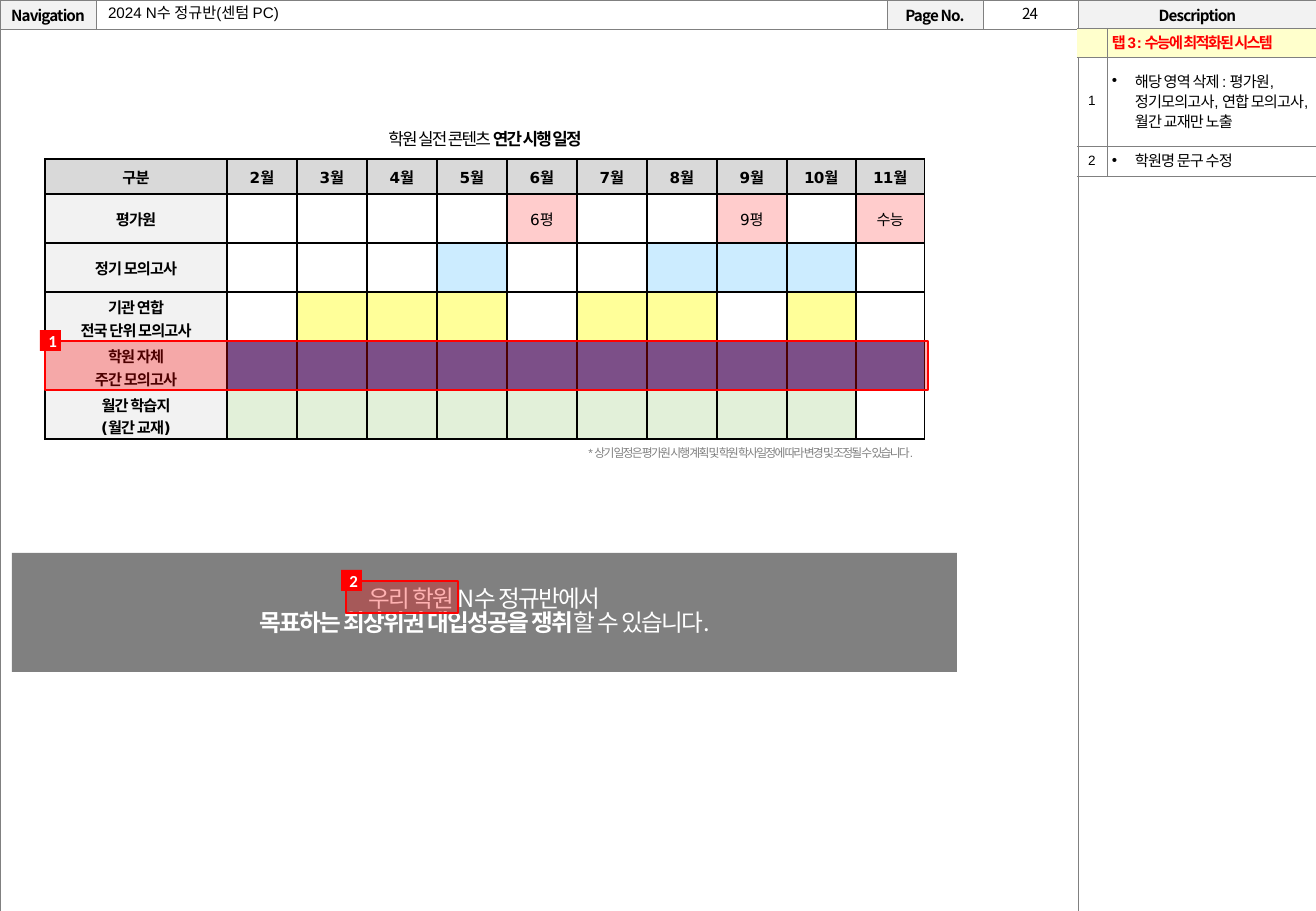
import pptx
import pptx.util
import pptx.dml.color
import pptx.enum.shapes
import pptx.enum.text
import pptx.oxml
import pptx.oxml.ns
from lxml import etree

SCALE = 7526  # EMU in one px
KOREAN = "Noto Sans CJK KR"
GREY, RED, WHITE, BLACK = "808080", "FF0000", "FFFFFF", "000000"
ALIGN = pptx.enum.text.PP_ALIGN
MIDDLE = pptx.enum.text.MSO_ANCHOR.MIDDLE
TOP = pptx.enum.text.MSO_ANCHOR.TOP


def px(length):
    return pptx.util.Emu(length * SCALE)


def colour(code):
    return pptx.dml.color.RGBColor.from_string(code)


def add_element(parent, tag, **attributes):
    return etree.SubElement(parent, pptx.oxml.ns.qn(tag), attributes)


def set_margins(holder, left, top, right, bottom):
    holder.margin_left, holder.margin_top = px(left), px(top)
    holder.margin_right, holder.margin_bottom = px(right), px(bottom)


def write(frame, text, size=9, font=KOREAN, ink=BLACK, bold=False,
          tracking=0, align=ALIGN.CENTER, leading=None, bullet=False):
    """Lines become paragraphs; parts between ** marks switch the bold."""
    for row, line in enumerate(text.split("\n")):
        para = frame.add_paragraph() if row else frame.paragraphs[0]
        para.alignment = align
        if leading:
            para.line_spacing = leading
        if bullet:
            properties = para._p.get_or_add_pPr()
            properties.set("marL", str(px(23)))
            properties.set("indent", str(px(-23)))
            add_element(properties, "a:buFont", typeface="Arial")
            add_element(properties, "a:buChar", char="•")
        if not line:
            add_element(para._p, "a:endParaRPr", sz=str(size * 100))
            continue
        for part, words in enumerate(line.split("**")):
            if not words:
                continue
            span = para.add_run()
            span.text = words
            span.font.size = pptx.util.Pt(size)
            span.font.name = font
            span.font.bold = bold != (part % 2 == 1)
            span.font.color.rgb = colour(ink)
            properties = span._r.get_or_add_rPr()
            properties.set("spc", str(int(tracking * 100)))
            add_element(properties, "a:ea", typeface=KOREAN)


def add_text(page, left, top, width, height, text, **style):
    box = page.shapes.add_textbox(px(left), px(top), px(width), px(height))
    box.text_frame.word_wrap = True
    write(box.text_frame, text, **style)


def add_box(page, left, top, width, height, fill, line=None, alpha=None):
    box = page.shapes.add_shape(pptx.enum.shapes.MSO_SHAPE.RECTANGLE,
                                px(left), px(top), px(width), px(height))
    box.shadow.inherit = False
    box.fill.solid()
    box.fill.fore_color.rgb = colour(fill)
    if alpha:
        tone = box.fill._xPr.find(".//" + pptx.oxml.ns.qn("a:srgbClr"))
        add_element(tone, "a:alpha", val=str(alpha * 1000))
    if line:
        box.line.color.rgb = colour(line)
        box.line.width = pptx.util.Pt(1.5)
    else:
        box.line.fill.background()
    box.text_frame.vertical_anchor = MIDDLE
    return box


def add_callout(page, number, left, top, width, height):
    """A see-through red area with its numbered badge."""
    add_box(page, left, top, width, height, RED, line=RED, alpha=30)
    badge = add_box(page, left - 5, top - 11, 21, 21, RED)
    set_margins(badge.text_frame, 4, 0, 0, 0)
    write(badge.text_frame, number, size=10, font="Calibri", ink=WHITE, bold=True)


def add_grid(page, left, top, widths, heights):
    holder = page.shapes.add_table(len(heights), len(widths), px(left), px(top),
                                   px(sum(widths)), px(sum(heights)))
    grid = holder.table
    grid.first_row = grid.horz_banding = False
    for column, width in zip(grid.columns, widths):
        column.width = px(width)
    for row, height in zip(grid.rows, heights):
        row.height = px(height)
    return grid


def fill_cell(cell, text="", fill=None, margins=(0, 0, 0, 0),
              border=GREY, weight=0.25, sides="LRTB", **style):
    properties = cell._tc.get_or_add_tcPr()
    for side in "LRTB":
        edge = add_element(properties, "a:ln" + side, w=str(pptx.util.Pt(weight)))
        if side in sides:
            add_element(add_element(edge, "a:solidFill"), "a:srgbClr", val=border)
        else:
            add_element(edge, "a:noFill")
    if fill:
        cell.fill.solid()
        cell.fill.fore_color.rgb = colour(fill)
    else:
        cell.fill.background()
    set_margins(cell, *margins)
    cell.vertical_anchor = MIDDLE
    write(cell.text_frame, text, **style)


def add_page_frame(page):
    grid = add_grid(page, 0, 0, [96, 791, 96, 95, 239], [29, 883])
    for column, label in enumerate(["Navigation", "", "Page No.", "", "Description"]):
        fill_cell(grid.cell(0, column), label, fill="F2F2F2" if label else None,
                  bold=True, tracking=-0.5)
        fill_cell(grid.cell(1, column))
    grid.cell(1, 0).merge(grid.cell(1, 3))
    add_text(page, 983, -2, 94, 30, "24", tracking=-0.5)


def add_title(page, text):
    title = page.shapes.title
    title.left, title.top, title.width, title.height = px(96), px(0), px(789), px(28)
    frame = title.text_frame
    frame.auto_size = pptx.enum.text.MSO_AUTO_SIZE.NONE
    frame.vertical_anchor = MIDDLE
    set_margins(frame, 12, 6, 12, 6)
    write(frame, text, font="Arial", align=ALIGN.LEFT, leading=0.9)


def add_schedule(page):
    months = range(2, 12)
    exams = [  # label, colour, marked months with their text
        ("평가원", "FFCCCC", {6: "6평", 9: "9평", 11: "수능"}),
        ("정기 모의고사", "CCECFF", dict.fromkeys([5, 8, 9, 10], "")),
        ("기관 연합\n전국 단위 모의고사", "FFFF99",
         dict.fromkeys([3, 4, 5, 7, 8, 10], "")),
        ("학원 자체\n주간 모의고사", "4472C4", dict.fromkeys(months, "")),
        ("월간 학습지\n(월간 교재)", "E2F0D9", dict.fromkeys(range(2, 11), "")),
    ]
    look = {"border": BLACK, "weight": 1, "font": "DejaVu Sans", "tracking": -0.5}
    grid = add_grid(page, 45, 159, [182] + [70] * 8 + [69] * 2, [35] + [49] * 5)
    for column, label in enumerate(["구분"] + [f"{month}월" for month in months]):
        fill_cell(grid.cell(0, column), label, fill="D9D9D9", bold=True, **look)
    for row, (label, tint, marks) in enumerate(exams, 1):
        margins = (0, 4 if "\n" in label else 0, 0, 0)
        fill_cell(grid.cell(row, 0), label, fill="F2F2F2", margins=margins,
                  bold=True, **look)
        for column, month in enumerate(months, 1):
            fill_cell(grid.cell(row, column), marks.get(month, ""),
                      fill=tint if month in marks else WHITE, **look)


def add_description(page):
    grid = add_grid(page, 1077, 28, [30, 209], [29, 89, 30])
    look = {"margins": (5, 5, 5, 5), "font": "Arial", "leading": 0.9}
    notes = ["해당 영역 삭제 : 평가원, 정기모의고사, 연합 모의고사, 월간 교재만 노출",
             "학원명 문구 수정"]
    fill_cell(grid.cell(0, 0), fill="FFFFCC", sides="RTB", **look)
    fill_cell(grid.cell(0, 1), "탭 3 : 수능에 최적화된 시스템", fill="FFFFCC", sides="LTB",
              ink=RED, bold=True, tracking=-1, align=ALIGN.LEFT, **look)
    for row, note in enumerate(notes, 1):
        fill_cell(grid.cell(row, 0), str(row), sides="RTB", size=8, **look)
        fill_cell(grid.cell(row, 1), note, sides="LTB", tracking=-0.5,
                  align=ALIGN.LEFT, bullet=True, **look)


def main():
    deck = pptx.Presentation()
    deck.slide_width, deck.slide_height = px(1316), px(911)
    page = deck.slides.add_slide(deck.slide_layouts[5])

    # Page frame and title
    add_page_frame(page)
    add_title(page, "2024 N수 정규반(센텀 PC)")

    # Yearly schedule
    add_text(page, 45, 123, 880, 33, "학원 실전 콘텐츠 **연간 시행 일정**",
             size=10, font="Arial", tracking=-1)
    add_schedule(page)
    add_text(page, 45, 440, 880, 27,
             "* 상기 일정은 평가원 시행 계획 및 학원 학사일정에 따라 변경 및 조정될 수 있습니다.",
             size=7, font="Arial", ink=GREY, tracking=-1, align=ALIGN.RIGHT)

    # Closing banner
    banner = add_box(page, 12, 553, 945, 119, GREY)
    write(banner.text_frame,
          "우리 학원 N수 정규반에서\n**목표하는 최상위권 대입성공을 쟁취**할 수 있습니다.",
          size=14, ink=WHITE, tracking=-1, leading=0.82)

    # Review notes
    add_callout(page, "1", 45, 341, 883, 49)
    add_callout(page, "2", 346, 581, 112, 32)
    add_description(page)

    deck.save("out.pptx")


if __name__ == "__main__":
    main()
